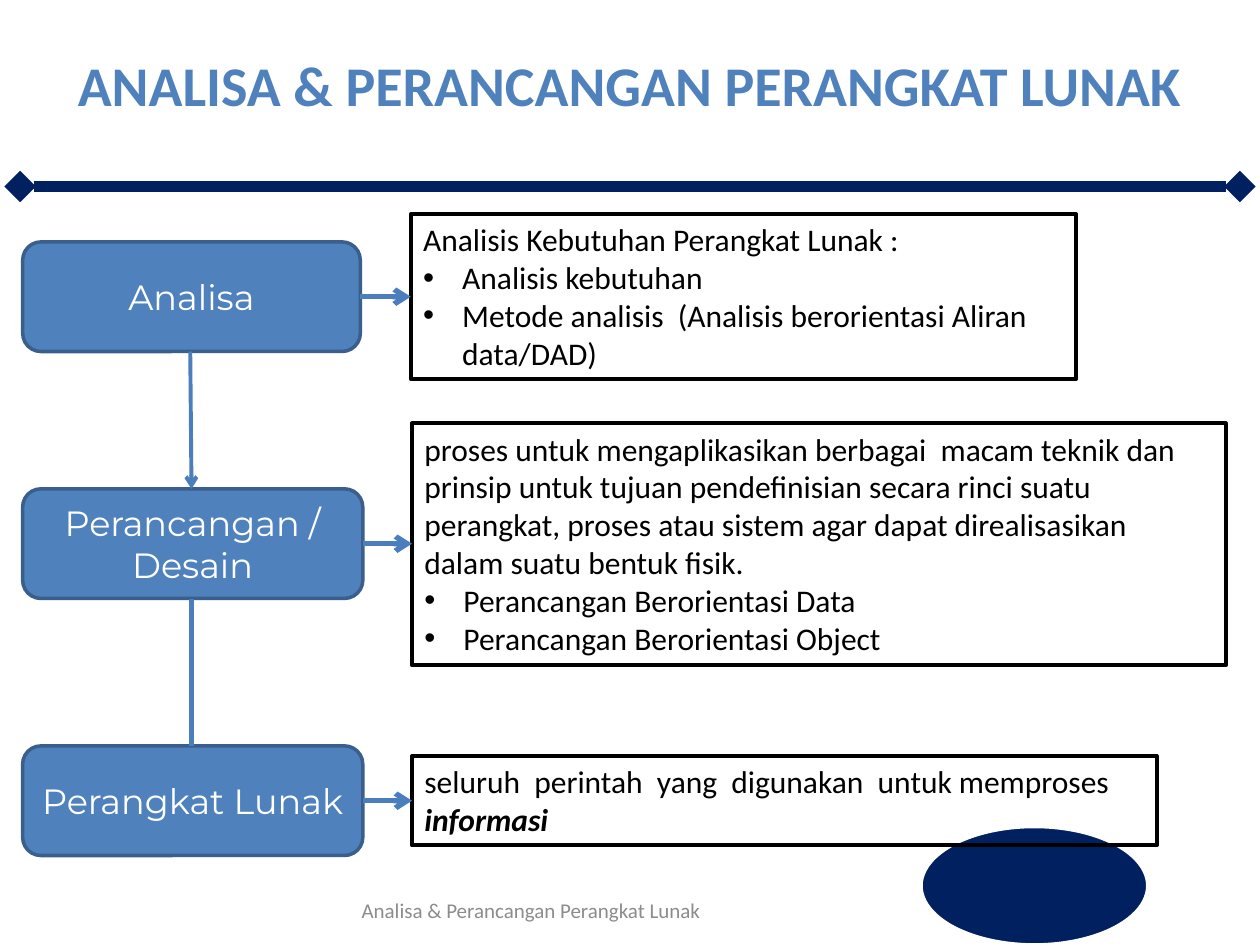
from dataclasses import dataclass

from lxml.etree import SubElement
from pptx import Presentation
from pptx.dml.color import RGBColor
from pptx.enum.shapes import MSO_CONNECTOR, MSO_SHAPE
from pptx.enum.text import MSO_ANCHOR, PP_ALIGN
from pptx.oxml.ns import qn
from pptx.util import Inches, Pt

COLORS = {
    "navy": "002060", "blue": "4F81BD", "edge": "3A5F8C", "arrow": "4B7EBC",
    "white": "FFFFFF", "black": "000000", "grey": "8C8C8C",
}
STAGE_LEFT, STAGE_HEIGHT = 0.18, 0.87
BULLET_INDENT = 0.31
RULE_TOP = 1.48


@dataclass
class Stage:
    """A step of the process and the box that explains it."""
    label: str
    top: float
    width: float
    box: tuple[float, float, float, float]
    intro: str
    bullets: tuple[str, ...] = ()
    emphasis: str = ""

    @property
    def middle(self) -> float:
        return self.top + STAGE_HEIGHT / 2


STAGES = [
    Stage("Analisa", 1.92, 2.68, (3.26, 1.7, 5.28, 1.31),
          "Analisis Kebutuhan Perangkat Lunak :",
          ("Analisis kebutuhan",
           "Metode analisis  (Analisis berorientasi Aliran data/DAD)")),
    Stage("Perancangan / Desain", 3.88, 2.7, (3.27, 3.36, 6.46, 1.92),
          "proses untuk mengaplikasikan berbagai  macam teknik dan prinsip "
          "untuk tujuan pendefinisian secara rinci suatu perangkat, proses "
          "atau sistem agar dapat direalisasikan dalam suatu bentuk fisik.",
          ("Perancangan Berorientasi Data", "Perancangan Berorientasi Object")),
    Stage("Perangkat Lunak", 5.92, 2.7, (3.27, 6, 5.91, 0.71),
          "seluruh  perintah  yang  digunakan  untuk memproses ",
          emphasis="informasi"),
]


def rgb(name: str) -> RGBColor:
    """Look up a colour by name."""
    return RGBColor.from_string(COLORS[name])


def add_run(p, text: str, *, size: float, font="Calibri", color="black",
            bold=False, italic=False) -> None:
    """Add formatted text to a paragraph."""
    r = p.add_run()
    r.text = text
    r.font.size, r.font.name = Pt(size), font
    r.font.bold, r.font.italic = bold, italic
    r.font.color.rgb = rgb(color)


def add_bullet(p) -> None:
    """Give a paragraph a hanging bullet."""
    pPr = p._p.get_or_add_pPr()
    pPr.set("marL", str(Inches(BULLET_INDENT)))
    pPr.set("indent", str(-Inches(BULLET_INDENT)))
    SubElement(pPr, qn("a:buFont")).set("typeface", "Arial")
    SubElement(pPr, qn("a:buChar")).set("char", "•")


def add_label(slide, box, text: str, *, wrap=True, **style) -> None:
    """Add a text box with one centred line of text."""
    tf = slide.shapes.add_textbox(*map(Inches, box)).text_frame
    tf.word_wrap, tf.vertical_anchor = wrap, MSO_ANCHOR.MIDDLE
    tf.paragraphs[0].alignment = PP_ALIGN.CENTER
    add_run(tf.paragraphs[0], text, **style)


def add_box(slide, kind, box, *, fill=None, line="black", width=2.0):
    """Add a flat preset shape and return it."""
    sp = slide.shapes.add_shape(kind, *map(Inches, box))
    sp.shadow.inherit = False
    if fill:
        sp.fill.solid()
        sp.fill.fore_color.rgb = rgb(fill)
    else:
        sp.fill.background()
    sp.line.color.rgb, sp.line.width = rgb(line), Pt(width)
    return sp


def add_line(slide, start, end, *, color="arrow", width=3.0, head="", tail="") -> None:
    """Add a straight line with optional end marks."""
    points = map(Inches, (*start, *end))
    cx = slide.shapes.add_connector(MSO_CONNECTOR.STRAIGHT, *points)
    cx.line.color.rgb, cx.line.width = rgb(color), Pt(width)
    ln = cx.line._get_or_add_ln()
    for tag, mark in (("a:headEnd", head), ("a:tailEnd", tail)):
        if mark:
            SubElement(ln, qn(tag)).set("type", mark)
    SubElement(cx._element.spPr, qn("a:effectLst"))


def add_stage(slide, stage: Stage) -> None:
    """Draw a stage, its explanation and the arrow between them."""
    sp = add_box(slide, MSO_SHAPE.ROUNDED_RECTANGLE,
                 (STAGE_LEFT, stage.top, stage.width, STAGE_HEIGHT),
                 fill="blue", line="edge")
    tf = sp.text_frame
    tf.word_wrap, tf.vertical_anchor = True, MSO_ANCHOR.MIDDLE
    tf.paragraphs[0].alignment = PP_ALIGN.CENTER
    add_run(tf.paragraphs[0], stage.label, size=20, font="Montserrat", color="white")

    tf = add_box(slide, MSO_SHAPE.RECTANGLE, stage.box, width=2.25).text_frame
    tf.word_wrap, tf.vertical_anchor = True, MSO_ANCHOR.TOP
    tf.margin_right = Inches(0.15)
    p = tf.paragraphs[0]
    p.alignment = PP_ALIGN.LEFT
    add_run(p, stage.intro, size=18)
    if stage.emphasis:
        add_run(p, stage.emphasis, size=18, bold=True, italic=True)
    for bullet in stage.bullets:
        p = tf.add_paragraph()
        p.alignment = PP_ALIGN.LEFT
        add_bullet(p)
        add_run(p, bullet, size=18)

    add_line(slide, (STAGE_LEFT + stage.width, stage.middle),
             (stage.box[0], stage.middle), tail="arrow")


def main() -> None:
    """Build and save the slide."""
    prs = Presentation()
    prs.slide_width, prs.slide_height = Inches(10), Inches(7.5)
    slide = prs.slides.add_slide(prs.slide_layouts[6])

    add_line(slide, (0.16, RULE_TOP), (9.84, RULE_TOP), color="navy", width=6,
             head="diamond", tail="diamond")
    add_box(slide, MSO_SHAPE.OVAL, (7.31, 6.56, 1.8, 0.94),
            fill="navy", line="white")
    add_label(slide, (1.48, 6.95, 5.47, 0.55),
              "Analisa & Perancangan Perangkat Lunak", size=12, color="grey")
    add_label(slide, (0, 0, 10, 1.33), "ANALISA & PERANCANGAN PERANGKAT LUNAK",
              wrap=False, size=32, color="blue", bold=True)

    for stage in STAGES:
        add_stage(slide, stage)
    analysis, design, software = STAGES
    add_line(slide, (1.51, analysis.top + STAGE_HEIGHT), (1.52, design.top),
             width=2.25, tail="arrow")
    add_line(slide, (1.52, design.top + STAGE_HEIGHT), (1.52, software.top))

    prs.save("out.pptx")


main()
